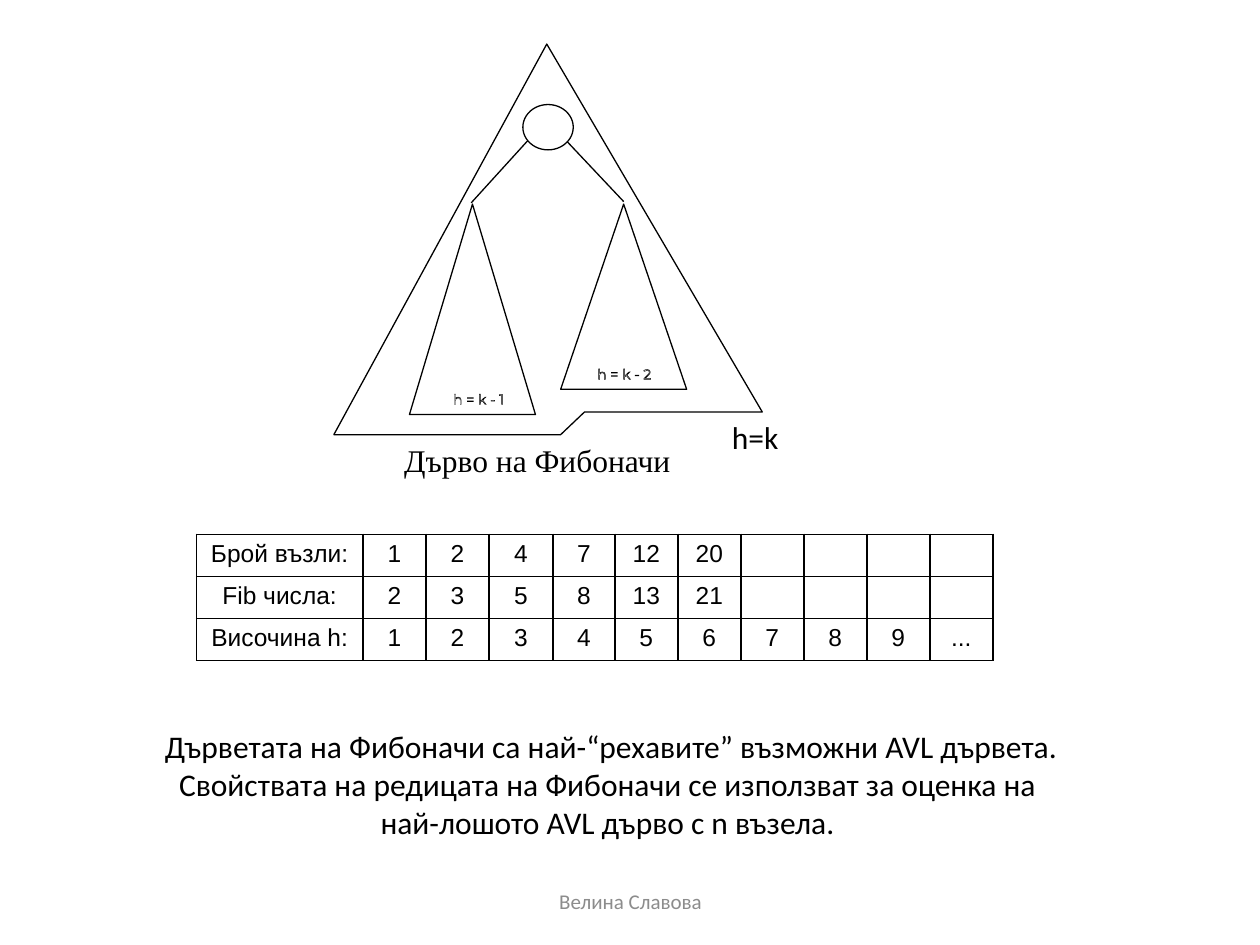
"""Builds a slide about Fibonacci trees: a tree diagram, a number table and notes."""
from lxml.etree import SubElement
from pptx import Presentation
from pptx.dml.color import RGBColor
from pptx.enum.shapes import MSO_CONNECTOR as CONN, MSO_SHAPE as SHAPE
from pptx.enum.text import MSO_ANCHOR as ANCHOR, PP_ALIGN as ALIGN
from pptx.oxml.ns import qn
from pptx.util import Inches, Pt

COLORS = {"ink": "000000", "paper": "FFFFFF", "footer": "8C8C8C"}
SLIDE_W, SLIDE_H = Inches(10), Inches(7.5)
COLS, ROWS = 100, 75
LINE_W = Pt(0.75)

OUTLINE = [(43.4, 3.5), (60.5, 32.7), (46.4, 32.7), (44.5, 34.5), (26.5, 34.5)]
SUBTREES = [(32.5, 16.7), (44.5, 14.7)]
BRANCHES = [(42.4, 10.6, 37.4, 16.1), (49.5, 16, 44.5, 10.7)]
LABELS = [("h = k - 1", (35.5, 30.5, 5, 1.5)), ("h = k - 2", (46.6, 28.5, 5.9, 1.2))]
COL_WIDTHS = [13.2, 5, 5, 5.1, 4.9] + [5] * 6
ROW_HEIGHT = 3.33
NUMBERS = [
    ["Брой възли:", 1, 2, 4, 7, 12, 20, "", "", "", ""],
    ["Fib числа:", 2, 3, 5, 8, 13, 21, "", "", "", ""],
    ["Височина h:", 1, 2, 3, 4, 5, 6, 7, 8, 9, "..."],
]
NOTES = (
    "Дърветата на Фибоначи са най-“рехавите” възможни AVL дървета. "
    "Свойствата на редицата на Фибоначи се използват за оценка на \n"
    "най-лошото AVL дърво с n възела. "
)


def gx(cols):
    return round(SLIDE_W * cols / COLS)


def gy(rows):
    return round(SLIDE_H * rows / ROWS)


def grid(x, y, w, h):
    return gx(x), gy(y), gx(w), gy(h)


def rgb(name):
    return RGBColor.from_string(COLORS[name])


def style_shape(sp):
    sp.shadow.inherit = False
    sp.fill.solid()
    sp.fill.fore_color.rgb = rgb("paper")
    sp.line.color.rgb = rgb("ink")
    sp.line.width = LINE_W


def style_text(tf, size, font, color="ink", align=ALIGN.CENTER):
    for p in tf.paragraphs:
        p.alignment = align
        for r in p.runs:
            r.font.size = Pt(size)
            r.font.name = font
            r.font.color.rgb = rgb(color)


def add_ln(parent, tag, width):
    ln = SubElement(parent, qn(tag), w=str(int(width)))
    SubElement(SubElement(ln, qn("a:solidFill")), qn("a:srgbClr"), val=COLORS["ink"])
    return ln


def add_text(slide, text, box, size, font, color="ink", align=ALIGN.CENTER,
             anchor=ANCHOR.TOP, wrap=True):
    tf = slide.shapes.add_textbox(*grid(*box)).text_frame
    tf.word_wrap = wrap
    tf.vertical_anchor = anchor
    tf.text = text
    style_text(tf, size, font, color, align)
    return tf


def add_outlined_label(slide, text, box):
    tf = add_text(slide, text, box, 8, "Montserrat", "paper", wrap=False)
    tf.margin_left = tf.margin_right = 0
    rpr = tf.paragraphs[0].runs[0]._r.get_or_add_rPr()
    rpr.insert(0, add_ln(rpr, "a:ln", LINE_W))


def add_shape(slide, kind, box):
    style_shape(slide.shapes.add_shape(kind, *grid(*box)))


def add_outline(slide, points):
    start, *rest = [(gx(x), gy(y)) for x, y in points]
    builder = slide.shapes.build_freeform(*start)
    builder.add_line_segments(rest, close=True)
    style_shape(builder.convert_to_shape())


def add_branch(slide, x1, y1, x2, y2):
    branch = slide.shapes.add_connector(CONN.STRAIGHT, gx(x1), gy(y1), gx(x2), gy(y2))
    branch.line.color.rgb = rgb("ink")
    branch.line.width = LINE_W
    SubElement(branch._element.spPr, qn("a:effectLst"))


def fill_cell(cell, value):
    cell.text = str(value)
    cell.vertical_anchor = ANCHOR.TOP
    cell.margin_left = cell.margin_right = Inches(0.05)
    style_text(cell.text_frame, 14, "Arial")
    if value == "":
        SubElement(cell.text_frame.paragraphs[0]._p, qn("a:endParaRPr"), sz="1400")
    for side in "LRTB":
        add_ln(cell._tc.get_or_add_tcPr(), f"a:ln{side}", Pt(1))
    cell.fill.background()


def add_number_table(slide, x, y):
    box = grid(x, y, sum(COL_WIDTHS), ROW_HEIGHT * len(NUMBERS))
    table = slide.shapes.add_table(len(NUMBERS), len(COL_WIDTHS), *box).table
    table.first_row = table.horz_banding = False
    for col, width in zip(table.columns, COL_WIDTHS):
        col.width = gx(width)
    for row, values in zip(table.rows, NUMBERS):
        row.height = gy(ROW_HEIGHT)
        for cell, value in zip(row.cells, values):
            fill_cell(cell, value)


def add_tree(slide):
    add_text(slide, "Дърво на Фибоначи", (26.5, 34.5, 32.3, 7.3), 18, "Times New Roman")
    add_outline(slide, OUTLINE)
    for left, height in SUBTREES:
        add_shape(slide, SHAPE.ISOSCELES_TRIANGLE, (left, 16.2, 10, height))
    for text, box in LABELS:
        add_outlined_label(slide, text, box)
    for ends in BRANCHES:
        add_branch(slide, *ends)
    add_shape(slide, SHAPE.OVAL, (41.5, 8.3, 4, 3.6))
    add_text(slide, "h=k", (57.1, 32.7, 11.9, 7.3), 18, "Calibri", align=ALIGN.LEFT)


def main():
    prs = Presentation()
    prs.slide_width, prs.slide_height = SLIDE_W, SLIDE_H
    slide = prs.slides.add_slide(prs.slide_layouts[6])
    add_tree(slide)
    add_number_table(slide, 15.6, 42.4)
    add_text(slide, NOTES, (10.4, 57.7, 76.2, 9), 18, "Calibri", anchor=ANCHOR.MIDDLE)
    add_text(slide, "Велина Славова", (34.2, 69.5, 31.7, 4), 12, "Calibri", "footer",
             anchor=ANCHOR.MIDDLE)
    prs.save("out.pptx")


main()
